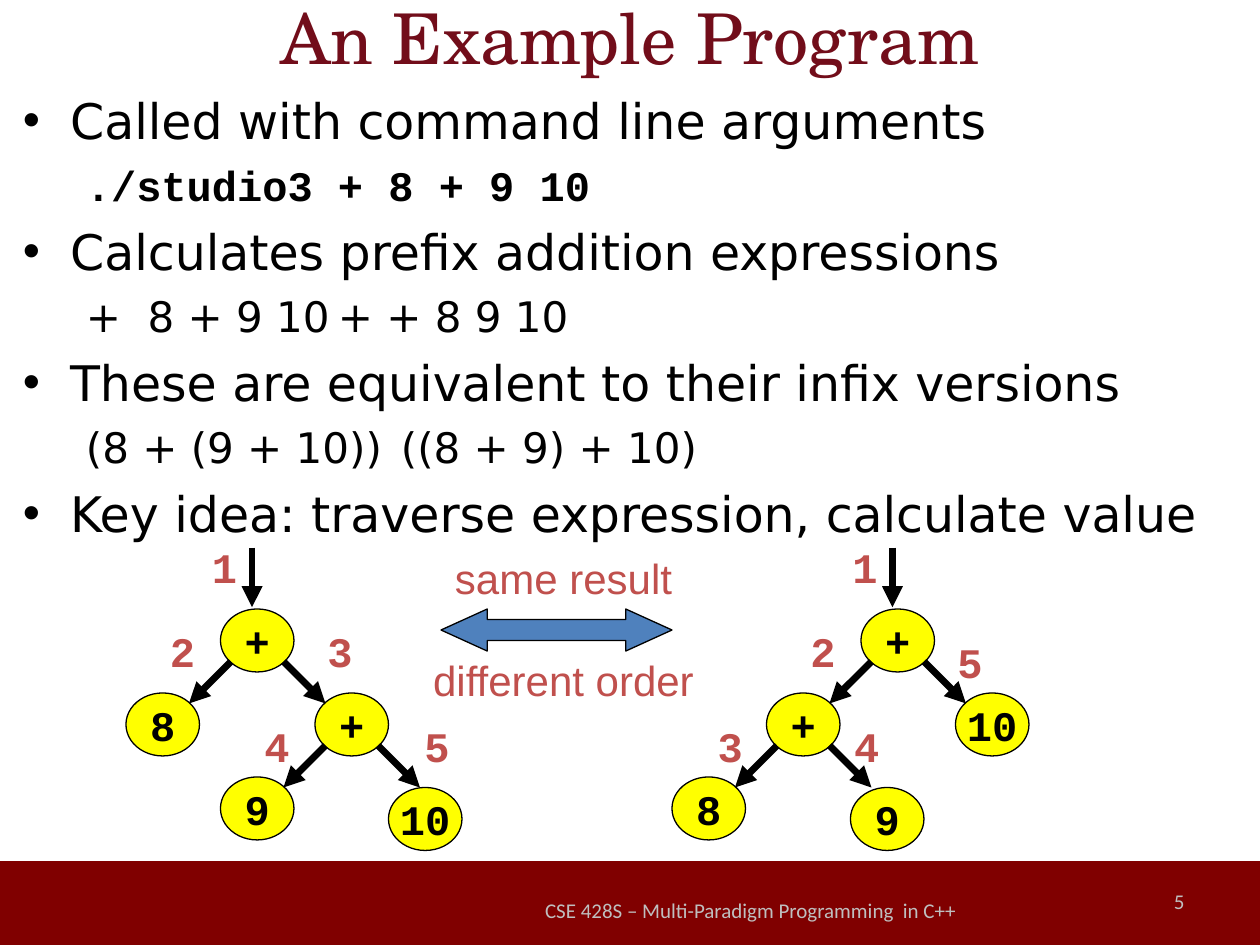
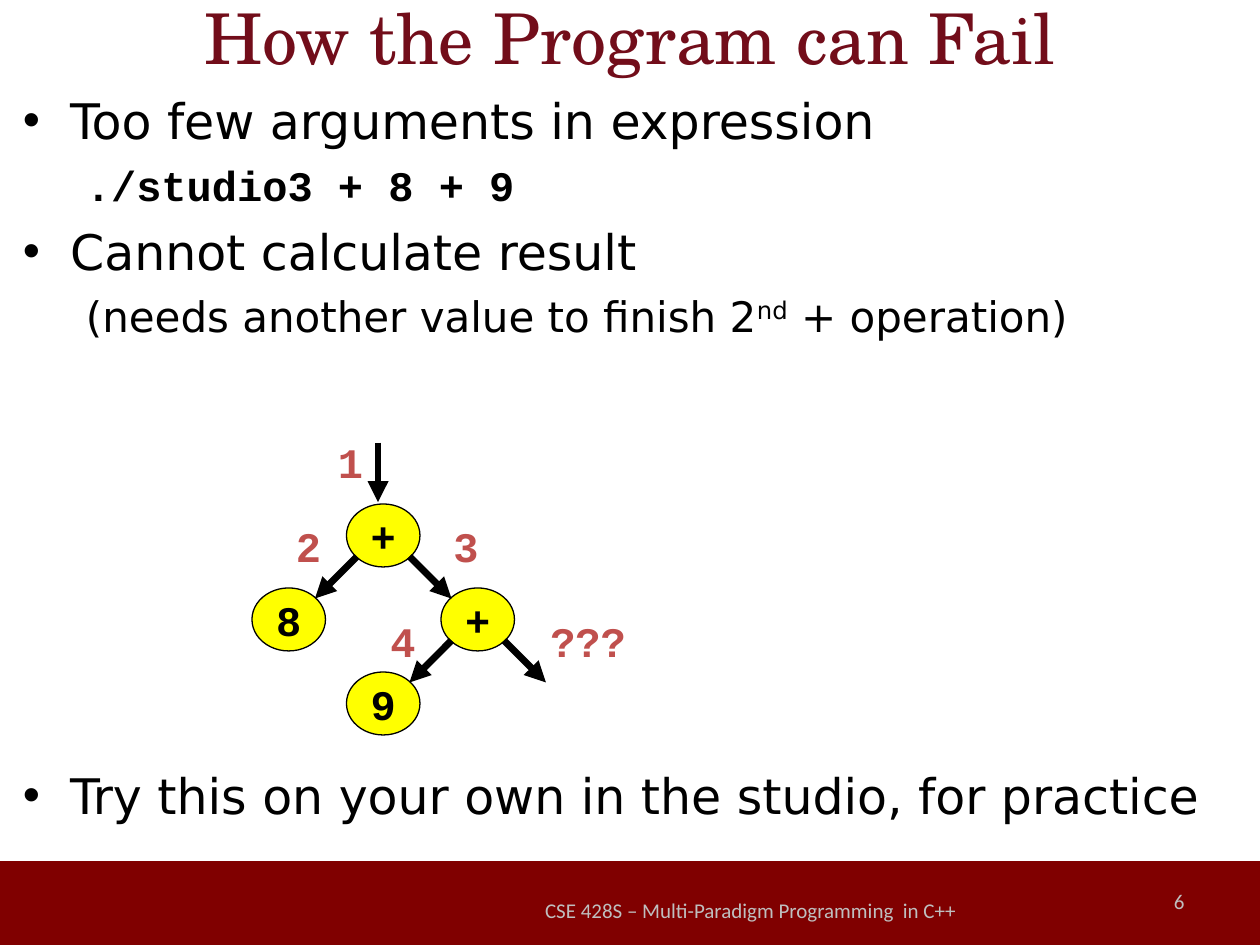
from lxml.etree import SubElement
from pptx import Presentation
from pptx.dml.color import RGBColor
from pptx.enum.shapes import MSO_CONNECTOR as Connector, MSO_SHAPE as Shape
from pptx.enum.text import MSO_ANCHOR as Anchor, MSO_AUTO_SIZE as AutoSize, PP_ALIGN as Align
from pptx.oxml.ns import qn
from pptx.util import Pt

BLACK = RGBColor(0, 0, 0)
MAROON = RGBColor(0x80, 0, 0)
TITLE_RED = RGBColor(0x72, 0x0D, 0x1A)
LABEL_RED = RGBColor(0xC0, 0x50, 0x4D)
NODE_YELLOW = RGBColor(0xFF, 0xFF, 0)
ARROW_BLUE = RGBColor(0x4F, 0x81, 0xBD)
FOOTER_GREY = RGBColor(0xBF, 0xBF, 0xBF)

BODY_FONT = "DejaVu Sans"
CODE_FONT = "Courier New"
TITLE_FONT = "TeX Gyre Schola"
FOOTER_FONT = "Calibri"
LABEL_FONT = "Arial"

FOOTER = "CSE 428S – Multi-Paradigm Programming  in C++"
NODE_W, NODE_H = 42, 36
LEFT, RIGHT = -1, 1


def style(paragraph, font, size, color, bold=False, align=None):
    paragraph.alignment = align
    for run in paragraph.runs:
        run.font.name = font
        run.font.size = Pt(size)
        run.font.bold = bold
        run.font.color.rgb = color


def add_text(slide, box, text, font, size, color, align=None, bold=False, wrap=True):
    frame = slide.shapes.add_textbox(*map(Pt, box)).text_frame
    frame.word_wrap = wrap
    frame.text = text
    for paragraph in frame.paragraphs:
        style(paragraph, font, size, color, bold, align)
    return frame


def add_filled(slide, kind, box, fill, outlined=True):
    shape = slide.shapes.add_shape(kind, *map(Pt, box))
    shape.shadow.inherit = False
    shape.fill.solid()
    shape.fill.fore_color.rgb = fill
    if outlined:
        shape.line.color.rgb = BLACK
        shape.line.width = Pt(0.75)
    else:
        shape.line.fill.background()
    return shape


def add_arrow(slide, x1, y1, x2, y2):
    arrow = slide.shapes.add_connector(Connector.STRAIGHT, Pt(x1), Pt(y1), Pt(x2), Pt(y2))
    arrow.line.color.rgb = BLACK
    arrow.line.width = Pt(4)
    properties = arrow._element.spPr
    SubElement(properties.get_or_add_ln(), qn("a:tailEnd"), type="triangle")
    SubElement(properties, qn("a:effectLst"))


def add_node(slide, x, y, text):
    node = add_filled(slide, Shape.OVAL, (x, y, NODE_W, NODE_H), NODE_YELLOW)
    frame = node.text_frame
    frame.word_wrap = False
    frame.vertical_anchor = Anchor.MIDDLE
    frame.text = text
    style(frame.paragraphs[0], CODE_FONT, 24, BLACK, True, Align.CENTER)


def add_tree(slide, root_x, root_y, nodes, steps):
    for text, dx, dy, _ in nodes:
        add_node(slide, root_x + dx, root_y + dy, text)
    for _, dx, dy, sides in nodes:
        center, top = root_x + dx + NODE_W / 2, root_y + dy
        for side in sides:
            add_arrow(slide, center + 15 * side, top + 30, center + 39 * side, top + 54)
    add_arrow(slide, root_x + 18, root_y - 35, root_x + 18, root_y - 1)
    for text, dx, dy in steps:
        width = 14.4 * (len(text) + 1)
        frame = add_text(slide, (root_x + dx, root_y + dy, width, 36), text,
                         CODE_FONT, 24, LABEL_RED, bold=True, wrap=False)
        frame.auto_size = AutoSize.SHAPE_TO_FIT_TEXT


def format_point(paragraph):
    properties = paragraph._p.get_or_add_pPr()
    properties.set("marL", str(Pt(27)))
    properties.set("indent", str(Pt(-27)))
    SubElement(properties, qn("a:buFont"), typeface="Arial")
    SubElement(properties, qn("a:buChar"), char="•")
    paragraph.space_before = Pt(6.72)
    style(paragraph, BODY_FONT, 28, BLACK)


def format_example(paragraph, code=False, tab=None):
    properties = paragraph._p.get_or_add_pPr()
    properties.set("marL", "0")
    properties.set("indent", str(Pt(36)))
    SubElement(properties, qn("a:buNone"))
    if tab:
        tabs = SubElement(properties, qn("a:tabLst"))
        SubElement(tabs, qn("a:tab"), pos=str(Pt(tab)), algn="l")
    paragraph.space_before = Pt(5.76)
    style(paragraph, CODE_FONT if code else BODY_FONT, 24, BLACK, code)


def add_body(slide, height, lines):
    frame = slide.shapes.add_textbox(Pt(6), Pt(48), Pt(714), Pt(height)).text_frame
    frame.word_wrap = True
    frame.text = "\n".join(text for text, _ in lines)
    for paragraph, (_, example) in zip(frame.paragraphs, lines):
        if example is None:
            format_point(paragraph)
        else:
            format_example(paragraph, **example)
    frame.paragraphs[0].space_before = Pt(0)
    return frame.paragraphs


def add_superscript(paragraph, before, raised, after):
    paragraph.text = before
    for text in (raised, after):
        paragraph.add_run().text = text
    style(paragraph, BODY_FONT, 24, BLACK)
    paragraph.runs[1]._r.get_or_add_rPr().set("baseline", "30000")


def new_slide(deck, title, number):
    slide = deck.slides.add_slide(deck.slide_layouts[6])
    add_filled(slide, Shape.RECTANGLE, (0, 492, 720, 48), MAROON, outlined=False)
    for box, text, font, size, color, align in (
        ((36, -24, 648, 90), title, TITLE_FONT, 40, TITLE_RED, Align.CENTER),
        ((300, 500.4, 258, 39.6), FOOTER, FOOTER_FONT, 12, FOOTER_GREY, Align.CENTER),
        ((516, 500.4, 168, 28.8), str(number), FOOTER_FONT, 12, FOOTER_GREY, Align.RIGHT),
    ):
        add_text(slide, box, text, font, size, color, align).vertical_anchor = Anchor.MIDDLE
    return slide


def add_comparison(slide):
    arrow = add_filled(slide, Shape.LEFT_RIGHT_ARROW, (252, 348, 132, 24), ARROW_BLUE)
    arrow.adjustments[0] = 0.5
    arrow.adjustments[1] = 1.1
    frame = add_text(slide, (240, 312, 164, 93.6), "same result\ndifferent order",
                     LABEL_FONT, 24, LABEL_RED, Align.CENTER, wrap=False)
    frame.paragraphs[1].space_before = Pt(29.5)


def build_example(deck):
    slide = new_slide(deck, "An Example Program", 5)
    add_body(slide, 276, [
        ("Called with command line arguments", None),
        ("./studio3 + 8 + 9 10", {"code": True}),
        ("Calculates prefix addition expressions", None),
        ("+  8 + 9 10\t+ + 8 9 10", {"tab": 357}),
        ("These are equivalent to their infix versions", None),
        ("(8 + (9 + 10))\t((8 + 9) + 10)", {"tab": 387}),
        ("Key idea: traverse expression, calculate value", None),
    ])
    add_tree(slide, 126, 348,
             [("+", 0, 0, (LEFT, RIGHT)), ("+", 54, 48, (LEFT, RIGHT)),
              ("8", -54, 48, ()), ("9", 0, 96, ()), ("10", 96, 102, ())],
             [("1", -12, -42), ("2", -36, 6), ("3", 54, 6), ("4", 18, 60), ("5", 109.4, 60)])
    add_tree(slide, 492, 348,
             [("+", 0, 0, (LEFT, RIGHT)), ("+", -54, 48, (LEFT, RIGHT)),
              ("8", -108, 96, ()), ("9", -6, 102, ()), ("10", 54, 48, ())],
             [("1", -12, -42), ("2", -36, 6), ("3", -89, 60), ("4", -11, 60), ("5", 48, 12)])
    add_comparison(slide)


def build_failure(deck):
    slide = new_slide(deck, "How the Program can Fail", 6)
    lines = add_body(slide, 450, [
        ("Too few arguments in expression", None),
        ("./studio3 + 8 + 9", {"code": True}),
        ("Cannot calculate result", None),
        ("", {}),
        ("Try this on your own in the studio, for practice", None),
    ])
    add_superscript(lines[3], "(needs another value to finish 2", "nd", " + operation)")
    lines[4].space_before = Pt(242.6)
    add_tree(slide, 198, 288,
             [("+", 0, 0, (LEFT, RIGHT)), ("+", 54, 48, (LEFT, RIGHT)),
              ("8", -54, 48, ()), ("9", 0, 96, ())],
             [("1", -12, -42), ("2", -36, 6), ("3", 54, 6), ("4", 18, 60), ("???", 109.4, 60)])


def main():
    deck = Presentation()
    deck.slide_width, deck.slide_height = Pt(720), Pt(540)
    build_example(deck)
    build_failure(deck)
    deck.save("out.pptx")


if __name__ == "__main__":
    main()
